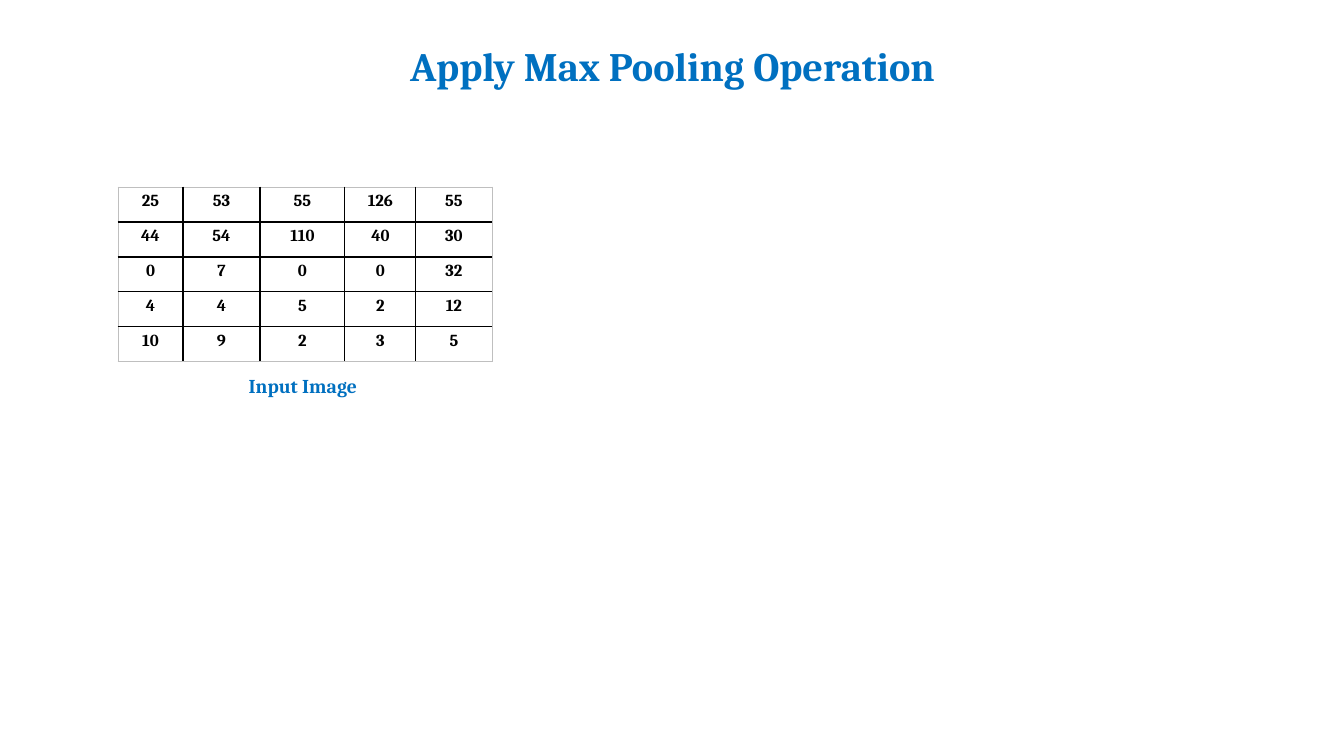
from lxml import etree
from pptx import Presentation
from pptx import util as u
from pptx.dml.color import RGBColor
from pptx.enum import text
from pptx.oxml.ns import qn

PIXELS = [
    [25, 53, 55, 126, 55],
    [44, 54, 110, 40, 30],
    [0, 7, 0, 0, 32],
    [4, 4, 5, 2, 12],
    [10, 9, 2, 3, 5],
]
COLUMNS = [65, 77, 85, 71, 76]
ROW = 35
GRID_AT = (118, 187)
CELL_INSETS = (22, 3, 22, 0)
FONT = "Cambria"
BLUE, BLACK, GREY = "0070C0", "000000", "BFBFBF"
CENTER, RIGHT = text.PP_ALIGN.CENTER, text.PP_ALIGN.RIGHT
TOP, MIDDLE = text.MSO_ANCHOR.TOP, text.MSO_ANCHOR.MIDDLE
LABELS = [
    ("Input Image", (103, 357, 264, 42), 14, RIGHT, 1.5, 8, TOP),
    ("Apply Max Pooling Operation", (368, 30, 609, 76), 28.8, CENTER, 0.9, 0, MIDDLE),
]


def px(n):
    return u.Emu(round(n * 914400 / 100.8))


def color(value):
    return RGBColor.from_string(value)


def write(para, words, size, shade, align, spacing, after=0):
    para.alignment = align
    para.line_spacing = spacing
    para.space_after = u.Pt(after)
    span = para.add_run()
    span.text = words
    span.font.name = FONT
    span.font.size = u.Pt(size)
    span.font.bold = True
    span.font.color.rgb = color(shade)


def set_borders(cell, edges):
    props = cell._tc.get_or_add_tcPr()
    for place, (side, outer) in enumerate(edges):
        line = etree.Element(qn("a:ln" + side), w=str(u.Pt(0.5 if outer else 1)))
        fill = etree.SubElement(line, qn("a:solidFill"))
        etree.SubElement(fill, qn("a:srgbClr"), val=GREY if outer else BLACK)
        props.insert(place, line)


def add_grid(page):
    last_row, last_column = len(PIXELS) - 1, len(COLUMNS) - 1
    size = (sum(COLUMNS), ROW * len(PIXELS))
    frame = page.shapes.add_table(len(PIXELS), len(COLUMNS), *map(px, GRID_AT + size))
    table = frame.table
    table.first_row = table.horz_banding = False
    for column, width in zip(table.columns, COLUMNS):
        column.width = px(width)
    for r, values in enumerate(PIXELS):
        table.rows[r].height = px(ROW)
        for c, value in enumerate(values):
            cell = table.cell(r, c)
            cell.margin_left, cell.margin_top, cell.margin_right, cell.margin_bottom = map(px, CELL_INSETS)
            cell.fill.background()
            set_borders(cell, [("L", c == 0), ("R", c == last_column), ("T", r == 0), ("B", r == last_row)])
            write(cell.text_frame.paragraphs[0], str(value), 12, BLACK, CENTER, 1.07)


def add_label(page, words, at, size, align, spacing, after, anchor):
    box = page.shapes.add_textbox(*map(px, at))
    box.text_frame.word_wrap = True
    box.text_frame.vertical_anchor = anchor
    write(box.text_frame.paragraphs[0], words, size, BLUE, align, spacing, after)


def main():
    deck = Presentation()
    deck.slide_width, deck.slide_height = px(1344), px(756)
    page = deck.slides.add_slide(deck.slide_layouts[6])
    add_grid(page)
    for label in LABELS:
        add_label(page, *label)
    deck.save("out.pptx")


if __name__ == "__main__":
    main()
